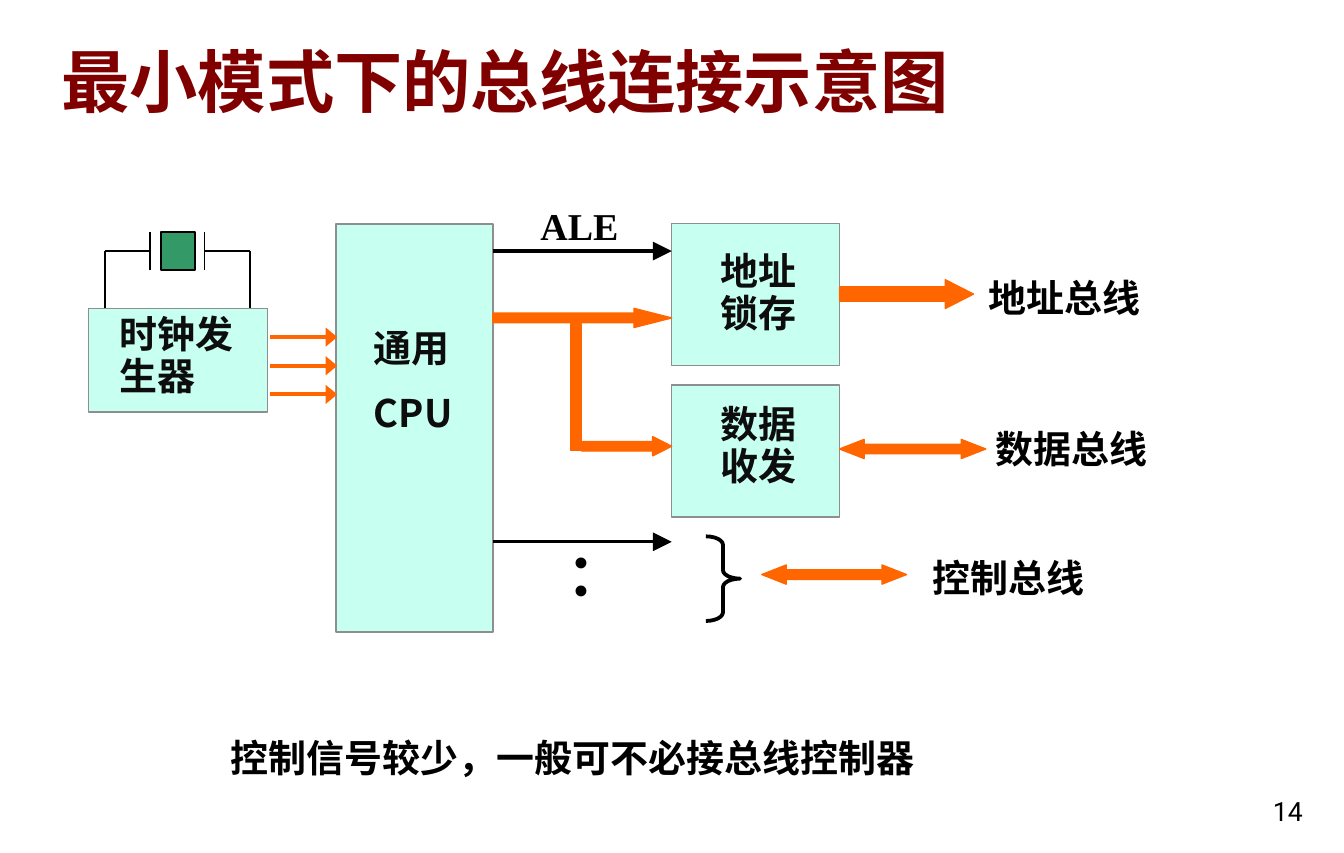
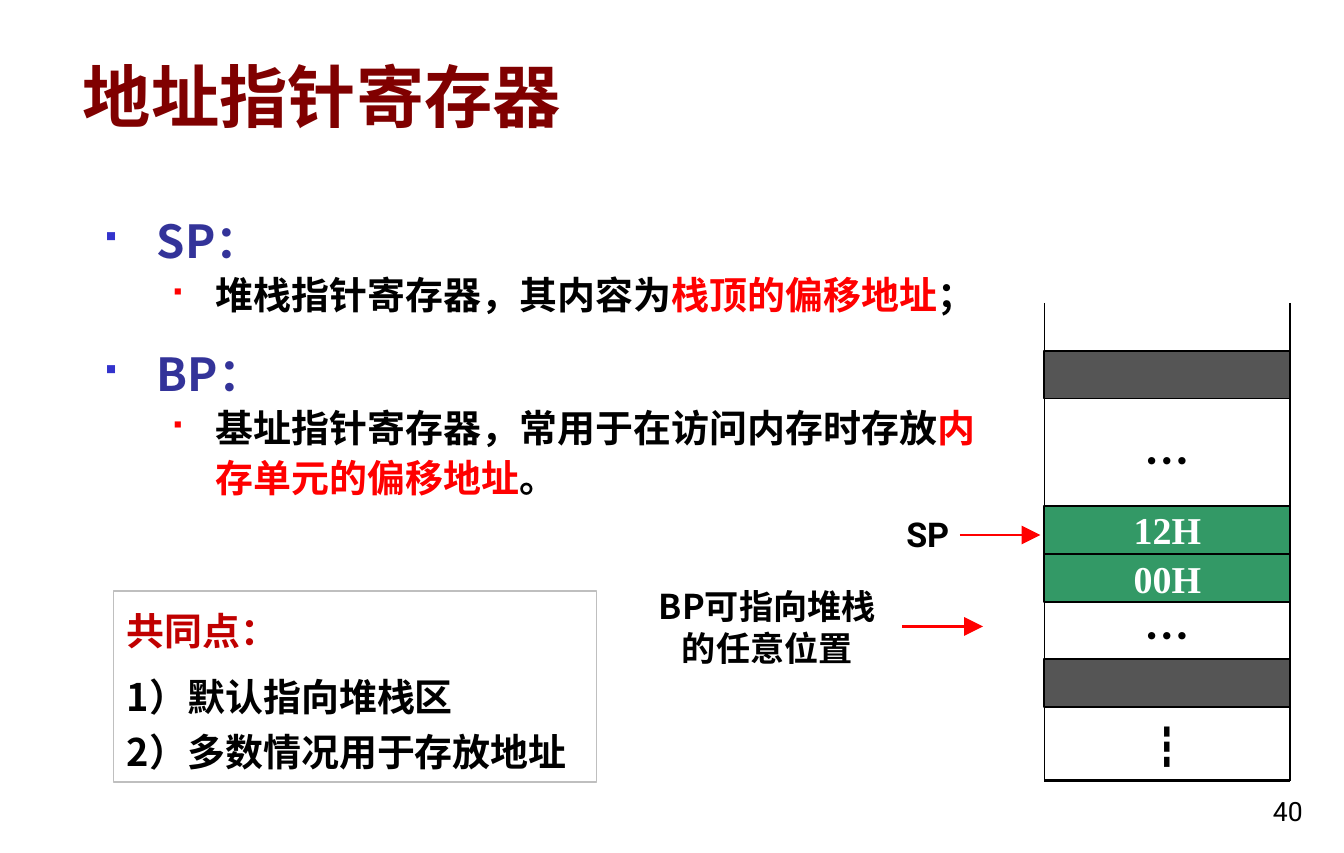
from pptx import Presentation
from pptx.dml.color import RGBColor
from pptx.enum import shapes, text
from pptx.oxml import ns, xmlchemy
from pptx.util import Inches, Pt

BLACK = RGBColor(0x00, 0x00, 0x00)
INK = RGBColor(0x0D, 0x0D, 0x0D)
WHITE = RGBColor(0xFF, 0xFF, 0xFF)
MAROON = RGBColor(0x80, 0x00, 0x00)
CRIMSON = RGBColor(0xC0, 0x00, 0x00)
RED = RGBColor(0xFF, 0x00, 0x00)
NAVY = RGBColor(0x33, 0x33, 0x99)
BLUE = RGBColor(0x33, 0x33, 0xCC)
ORANGE = RGBColor(0xFF, 0x66, 0x00)
GREEN = RGBColor(0x33, 0x99, 0x66)
MINT = RGBColor(0xC7, 0xFF, 0xF0)
GRAY = RGBColor(0x8E, 0x8E, 0x8E)
SILVER = RGBColor(0xBF, 0xBF, 0xBF)
DARK = RGBColor(0x55, 0x55, 0x55)

WIDE, HIGH = Inches(315 / 32), Inches(6.25)
HAN, SANS, SERIF = "Noto Sans CJK SC", "Roboto", "Times New Roman"
KIND = shapes.MSO_SHAPE
LEFT, MID, RIGHT = (text.PP_ALIGN.LEFT, text.PP_ALIGN.CENTER,
                    text.PP_ALIGN.RIGHT)
TOP, BASE = text.MSO_ANCHOR.TOP, text.MSO_ANCHOR.BOTTOM


def child(parent, tag, **attrs):
    node = xmlchemy.OxmlElement(tag)
    for key, val in attrs.items():
        node.set(key, str(val))
    parent.append(node)
    return node


def style(para, size, color, face=HAN, bold=True, align=LEFT, pitch=None):
    """Set the paragraph font and an exact line pitch in points."""
    para.alignment = align
    para.line_spacing = Pt(pitch or round(size * 1.21, 1))
    font = para.font
    font.size, font.bold, font.name = Pt(size), bold, face
    if color is not None:
        font.color.rgb = color
    props = para._p.pPr.find(ns.qn("a:defRPr"))
    child(props, "a:ea", typeface=HAN)


def write(frame, lines, size, color=BLACK, gap=0, anchor=TOP, **look):
    frame.word_wrap = True
    frame.vertical_anchor = anchor
    for i, line in enumerate(lines):
        para = frame.add_paragraph() if i else frame.paragraphs[0]
        para.text = line
        if i and gap:
            para.space_before = Pt(gap)
        style(para, size, color, **look)
    return frame


def label(slide, box, lines, size=20, color=BLACK, **look):
    shape = slide.shapes.add_textbox(*map(Inches, box))
    return write(shape.text_frame, lines, size, color, **look)


def block(slide, kind, box, fill=None, edge=BLACK, width=0.75, adj=()):
    shape = slide.shapes.add_shape(kind, *map(Inches, box))
    shape.shadow.inherit = False
    if fill is None:
        shape.fill.background()
    else:
        shape.fill.solid()
        shape.fill.fore_color.rgb = fill
    shape.line.color.rgb = edge
    shape.line.width = Pt(width)
    for i, val in enumerate(adj):
        shape.adjustments[i] = val
    return shape


def line(slide, start, end, color=BLACK, width=0.75, head=None):
    """Straight line; head is the arrowhead length, med or lg."""
    link = slide.shapes.add_connector(
        shapes.MSO_CONNECTOR.STRAIGHT, *map(Inches, (*start, *end)))
    link.line.color.rgb = color
    link.line.width = Pt(width)
    if head:
        child(link.line._get_or_add_ln(), "a:tailEnd", type="triangle",
              w="lg", len=head)
    child(link._element.spPr, "a:effectLst")


def page(deck, title, box, number):
    slide = deck.slides.add_slide(deck.slide_layouts[6])
    label(slide, box, [title], 36, MAROON, face=SANS, anchor=BASE)
    label(slide, (9.02, 5.69, 0.62, 0.42), [number], 14, face=SANS,
          bold=False, align=RIGHT, anchor=BASE)
    return slide


def clock(slide, x, y):
    """Clock generator with its crystal; x, y is the top left of the block."""
    block(slide, KIND.RECTANGLE, (x, y, 1.31, 0.76), MINT, GRAY)
    label(slide, (x + 0.13, y - 0.01, 1.12, 0.75), ["时钟发", "生器"],
          color=INK, pitch=22.1)
    wire = y - 0.42
    for side, plate in ((x + 0.12, x + 0.45), (x + 1.18, x + 0.85)):
        line(slide, (side, y), (side, wire))
        line(slide, (side, wire), (plate, wire))
        line(slide, (plate, wire - 0.14), (plate, wire + 0.14))
    block(slide, KIND.RECTANGLE, (x + 0.53, wire - 0.14, 0.25, 0.28), GREEN)
    for i in range(3):
        row = y + 0.21 * (i + 1)
        line(slide, (x + 1.33, row), (x + 1.82, row), ORANGE, 2, "med")


def cpu(slide, x, y):
    block(slide, KIND.RECTANGLE, (x, y, 1.15, 2.99), MINT, GRAY)
    label(slide, (x + 0.18, y + 0.69, 0.9, 0.94), ["通用", "CPU"],
          color=INK, gap=10)


def chip(slide, box, lines, drop):
    x, y, w, h = box
    block(slide, KIND.RECTANGLE, box, MINT, GRAY)
    label(slide, (x + 0.26, y + drop, 0.8, 0.75), lines, color=INK,
          pitch=22.1)


def flow(slide, kind, box, point):
    block(slide, kind, box, ORANGE, ORANGE, adj=(0.5, point))


def links(slide, x, y):
    """Signals from the CPU edge at x to the chips 1.31 to its right."""
    for row in (y + 0.2, y + 2.33):
        line(slide, (x, row), (x + 1.31, row), width=1.75, head="lg")
    label(slide, (x + 0.25, y - 0.21, 0.98, 0.44), ["ALE"], face=SERIF)
    flow(slide, KIND.RIGHT_ARROW, (x, y + 0.62, 1.31, 0.14), 1.97)
    flow(slide, KIND.RIGHT_ARROW, (x + 0.65, y + 1.56, 0.66, 0.14), 0.99)
    block(slide, KIND.RECTANGLE, (x + 0.57, y + 0.73, 0.08, 0.93),
          ORANGE, ORANGE)
    label(slide, (x + 0.49, y + 2.41, 0.74, 0.5), ["•", "•"], 24,
          face=SERIF, bold=False, pitch=14.8)


def buses(slide):
    both = KIND.LEFT_RIGHT_ARROW
    rows = (
        (KIND.RIGHT_ARROW, (6.15, 2.05, 0.98, 0.21), 0.98, 7.14, 1.96,
         "地址总线"),
        (both, (6.15, 3.22, 1.07, 0.14), 1.28, 7.19, 3.07, "数据总线"),
        (both, (5.58, 4.14, 1.06, 0.14), 1.28, 6.73, 4.01, "控制总线"),
    )
    for kind, box, point, x, y, name in rows:
        flow(slide, kind, box, point)
        label(slide, (x, y, 1.5, 0.44), [name])
    block(slide, KIND.RIGHT_BRACE, (5.17, 3.93, 0.25, 0.62), width=2,
          adj=(0.25, 0.5))


def diagram(deck):
    slide = page(deck, "最小模式下的总线连接示意图",
                 (0.35, 0.22, 8.39, 0.72), "14")
    cpu(slide, 2.46, 1.64)
    clock(slide, 0.65, 2.26)
    chip(slide, (4.92, 1.64, 1.23, 1.04), ["地址", "锁存"], 0.15)
    chip(slide, (4.92, 2.82, 1.23, 0.97), ["数据", "收发"], 0.09)
    links(slide, 3.61, 1.64)
    buses(slide)
    label(slide, (1.59, 5.33, 5.35, 0.44),
          ["控制信号较少，一般可不必接总线控制器"])


def bullet(para, level, left, hang, color, scale):
    para.level = level
    props = para._p.get_or_add_pPr()
    props.set("marL", str(Inches(left)))
    props.set("indent", str(-Inches(hang)))
    tint = child(props, "a:buClr")
    child(tint, "a:srgbClr", val=color)
    child(props, "a:buSzPct", val=scale * 1000)
    child(props, "a:buFont", typeface="Wingdings", charset=2)
    child(props, "a:buChar", char="§")


def notes(slide, box):
    """Register names, each with a meaning whose key words are red."""
    frame = slide.shapes.add_textbox(*map(Inches, box)).text_frame
    frame.word_wrap = True
    items = (
        ("SP：", ("堆栈指针寄存器，其内容为", "栈顶的偏移地址", "；")),
        ("BP：", ("基址指针寄存器，常用于在访问内存时存放",
                 "内存单元的偏移地址", "。")),
    )
    for i, (name, parts) in enumerate(items):
        para = frame.add_paragraph() if i else frame.paragraphs[0]
        para.text = name
        bullet(para, 0, 0.38, 0.38, BLUE, 60)
        if i:
            para.space_before = Pt(12)
        style(para, 24, NAVY, pitch=31.7)
        para = frame.add_paragraph()
        bullet(para, 1, 0.81, 0.31, RED, 55)
        for part, color in zip(parts, (BLACK, RED, BLACK)):
            run = para.add_run()
            run.text = part
            run.font.color.rgb = color
        style(para, 20, None, pitch=26.4)


def common(slide, box):
    shape = block(slide, KIND.RECTANGLE, box, edge=SILVER)
    frame = write(shape.text_frame,
                  ["共同点：", "1）默认指向堆栈区", "2）多数情况用于存放地址"],
                  20, pitch=29)
    head = frame.paragraphs[0]
    head.space_after = Pt(6)
    head.font.color.rgb = CRIMSON


def stack(slide, x, y, w, h):
    """Memory column, open at the top."""
    for drop, fill in ((0.35, DARK), (1.49, GREEN), (1.84, GREEN),
                       (2.61, DARK)):
        block(slide, KIND.RECTANGLE, (x, y + drop, w, 0.35), fill, width=1)
    for side in (x, x + w):
        line(slide, (side, y), (side, y + h), width=1)
    line(slide, (x, y + h), (x + w, y + h), width=1.5)
    cells = (
        (0.9, "…", 24, BLACK, HAN), (1.44, "12H", 20, WHITE, SERIF),
        (1.8, "00H", 20, WHITE, SERIF), (2.18, "…", 24, BLACK, HAN),
        (3, "┇", 24, BLACK, HAN),
    )
    for drop, word, size, color, face in cells:
        label(slide, (x + w / 2 - 0.45, y + drop, 0.9, 0.5), [word], size,
              color, face=face, align=MID)


def pointers(slide):
    label(slide, (6.44, 3.71, 0.71, 0.4), ["SP"], 18, face=SANS, align=MID)
    label(slide, (4.69, 4.24, 1.86, 0.71), ["BP可指向堆栈的任意位置"], 18,
          align=MID)
    for x, y in ((7.03, 3.92), (6.61, 4.59)):
        line(slide, (x, y), (x + 0.59, y), RED, 1.25, "lg")


def registers(deck):
    slide = page(deck, "地址指针寄存器", (0.51, 0.22, 7.13, 0.83), "40")
    notes(slide, (0.67, 1.47, 6.69, 2.6))
    common(slide, (0.83, 4.33, 3.54, 1.4))
    stack(slide, 7.65, 2.22, 1.8, 3.5)
    pointers(slide)


def main():
    deck = Presentation()
    deck.slide_width, deck.slide_height = WIDE, HIGH
    diagram(deck)
    registers(deck)
    deck.save("out.pptx")


if __name__ == "__main__":
    main()
